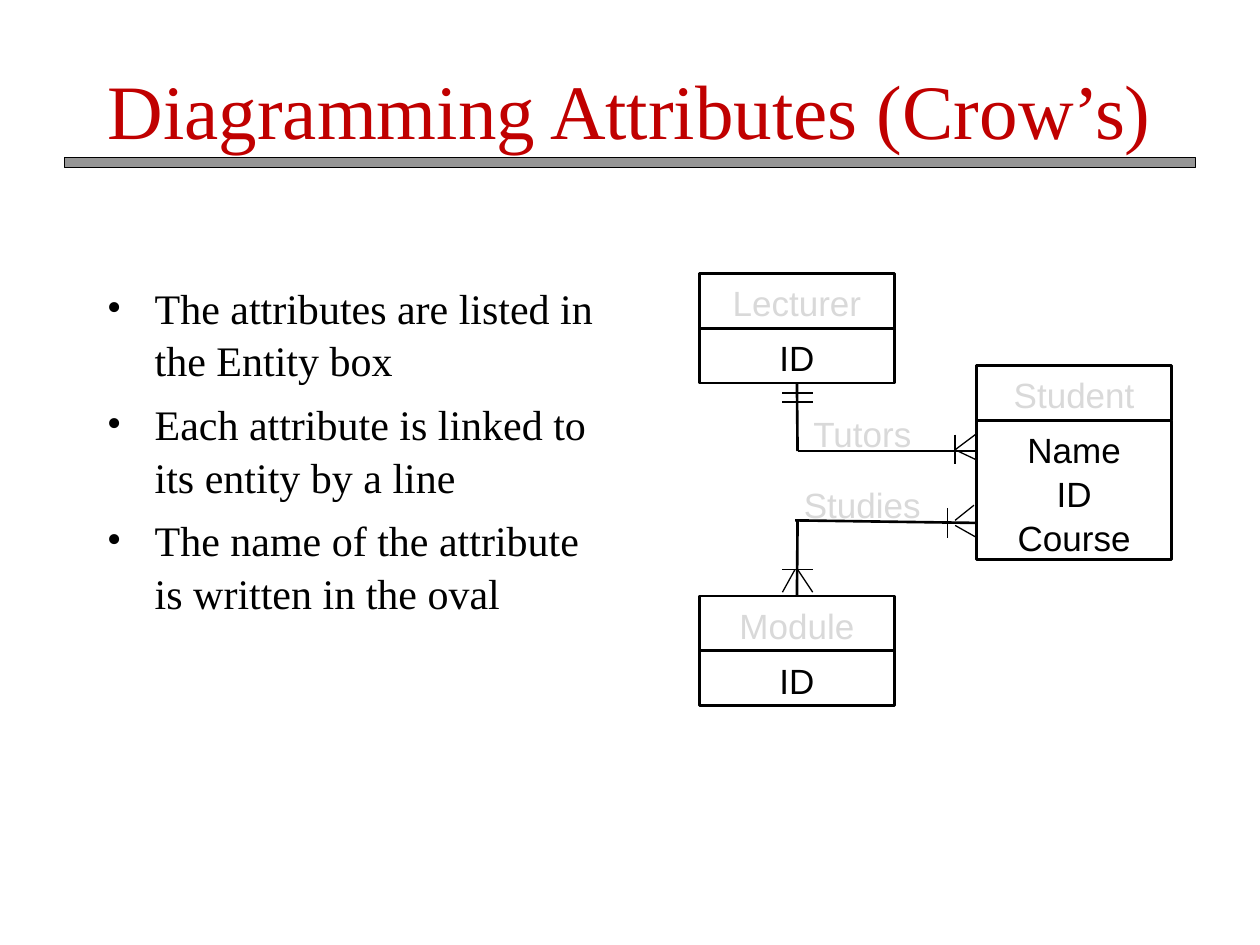
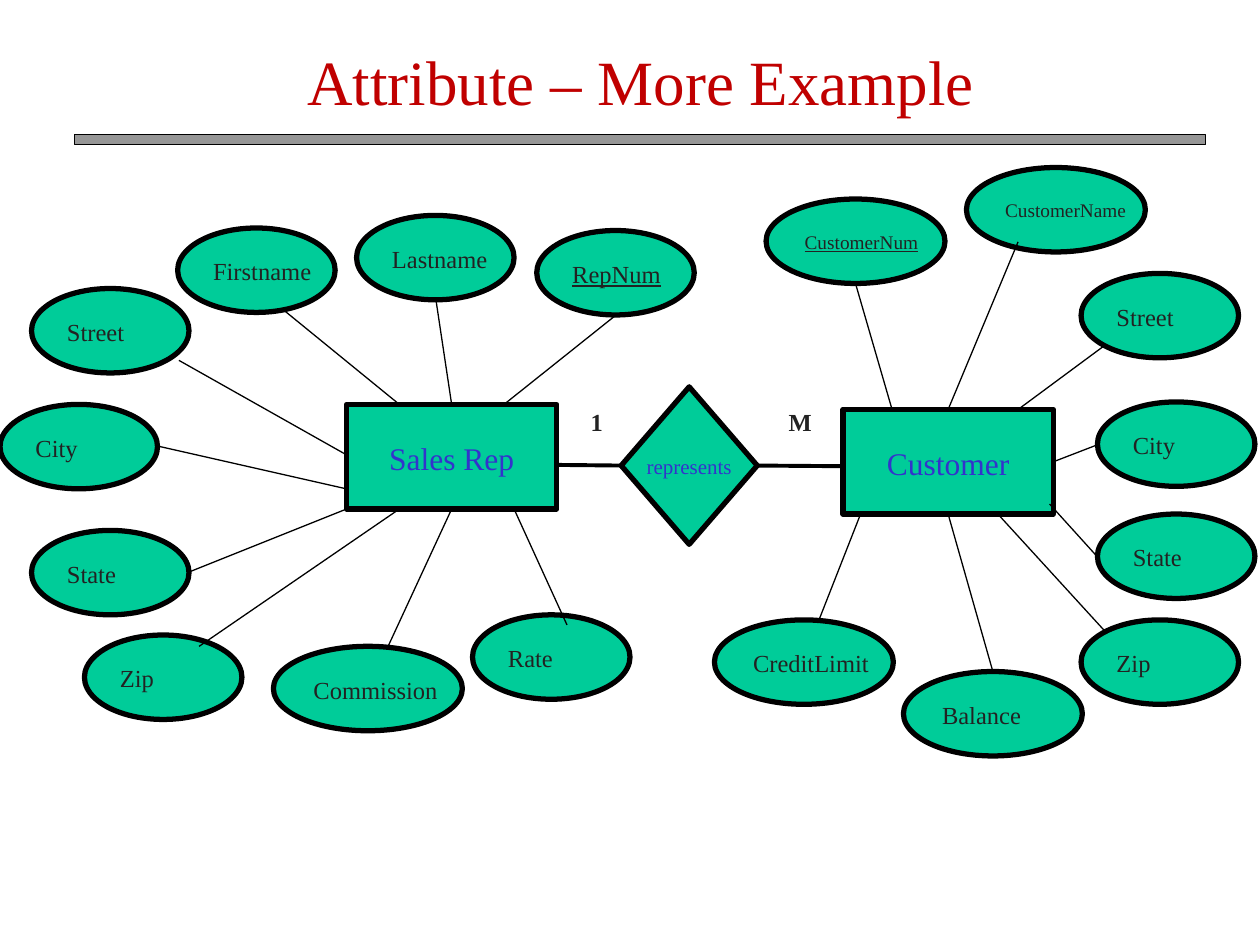
from lxml import etree
from pptx import Presentation, util as u
from pptx.dml.color import RGBColor
from pptx.enum import shapes, text
from pptx.oxml import ns

Inches, Pt = u.Inches, u.Pt
SHAPE, ALIGN, ANCHOR = shapes.MSO_SHAPE, text.PP_ALIGN, text.MSO_ANCHOR

BLACK = RGBColor(0x00, 0x00, 0x00)
TITLE_RED = RGBColor(0xC0, 0x00, 0x00)
BAND_GRAY = RGBColor(0x96, 0x96, 0x96)
PALE_GRAY = RGBColor(0xD9, 0xD9, 0xD9)
GREEN = RGBColor(0x00, 0xCC, 0x99)
ENTITY_BLUE = RGBColor(0x33, 0x33, 0xCC)
DARK = RGBColor(0x22, 0x22, 0x22)
SERIF, SANS = "Times New Roman", "Arial"
LINE_SPACING = 1.05
TOP, LEFT, BOTTOM, RIGHT = range(4)  # connection sites

# Crow's foot diagram
ENTITY_WIDTH, ROW_HEIGHT, ROW_MARGIN = 1.55, 0.335, 0.1
CROW_MARKS = [
    # one and only one, at Lecturer
    ((6.21, 3.12), (6.45, 3.12)), ((6.21, 3.19), (6.45, 3.19)),
    # many, at Student from Tutors
    ((7.58, 3.45), (7.58, 3.68)), ((7.58, 3.57), (7.74, 3.45)),
    ((7.58, 3.57), (7.75, 3.65)),
    # many, at Student from Studies
    ((7.58, 4.17), (7.74, 4.26)), ((7.58, 4.13), (7.73, 4.01)),
    ((7.52, 4.03), (7.52, 4.27)),
    # many, at Module
    ((6.21, 4.52), (6.45, 4.52)), ((6.31, 4.52), (6.21, 4.7)),
    ((6.33, 4.52), (6.45, 4.7)),
]

# Attributes: label, oval (left, top, width), font size, key?,
# link start (a side of the entity or a point) and link end
SALES_REP_ATTRIBUTES = [
    ("RepNum", (4.26, 1.83, 1.25), 14, True, (4, 3.21), (4.89, 2.5)),
    ("Lastname", (2.83, 1.71, 1.25), 14, False, TOP, (3.46, 2.38)),
    ("Firstname", (1.41, 1.81, 1.25), 14, False, (3.17, 3.21), (2.25, 2.46)),
    ("Street", (0.25, 2.29, 1.25), 14, False, (2.75, 3.61), (1.42, 2.86)),
    ("City", (0, 3.21, 1.25), 14, False, (2.75, 3.88), (1.25, 3.54)),
    ("State", (0.25, 4.21, 1.25), 14, False, (2.75, 4.04), (1.5, 4.54)),
    ("Zip", (0.67, 5.04, 1.25), 14, False, (3.17, 4.04), (1.58, 5.13)),
    ("Commission", (2.17, 5.13, 1.5), 14, False, BOTTOM, (3.08, 5.13)),
    ("Rate", (3.75, 4.88, 1.25), 14, False, (4.08, 4.04), (4.5, 4.96)),
]
CUSTOMER_ATTRIBUTES = [
    ("CustomerNum", (6.08, 1.58, 1.42), 11, True, (7.08, 3.25), (6.79, 2.25)),
    ("CustomerName", (7.67, 1.33, 1.42), 11, False, TOP, (8.08, 1.92)),
    ("Street", (8.58, 2.17, 1.25), 14, False, (8.08, 3.25), (8.77, 2.74)),
    ("City", (8.71, 3.19, 1.25), 14, False, RIGHT, (8.71, 3.53)),
    ("State", (8.71, 4.08, 1.25), 14, False, (8.33, 4), (8.71, 4.42)),
    ("Zip", (8.58, 4.92, 1.25), 14, False, (7.92, 4.08), (8.77, 5.01)),
    ("Balance", (7.17, 5.33, 1.42), 14, False, BOTTOM, (7.88, 5.33)),
    ("CreditLimit", (5.67, 4.92, 1.42), 14, False, (6.83, 4.08), (6.5, 4.92)),
]


def add_bullet(paragraph):
    properties = paragraph._p.get_or_add_pPr()
    properties.set("marL", str(Inches(0.38)))
    properties.set("indent", str(-Inches(0.38)))
    etree.SubElement(properties, ns.qn("a:buFont")).set("typeface", SERIF)
    etree.SubElement(properties, ns.qn("a:buChar")).set("char", "•")


def write(shape, lines, size, color, face=SERIF, align=ALIGN.CENTER,
          anchor=ANCHOR.MIDDLE, wrap=False, bold=False, underline=False,
          bullets=False, gap=0):
    frame = shape.text_frame
    frame.word_wrap = wrap
    frame.vertical_anchor = anchor
    frame.text = "\n".join(lines)
    for index, paragraph in enumerate(frame.paragraphs):
        paragraph.alignment = align
        paragraph.line_spacing = LINE_SPACING
        paragraph.space_before = Pt(gap if index else 0)
        if bullets:
            add_bullet(paragraph)
        font = paragraph.font
        font.name, font.size, font.bold = face, Pt(size), bold
        font.underline = underline
        font.color.rgb = color


def add_text(slide, box, lines, size, color, **style):
    write(slide.shapes.add_textbox(*map(Inches, box)), lines, size, color, **style)


def add_figure(slide, kind, box, fill=None, line=None):
    figure = slide.shapes.add_shape(kind, *map(Inches, box))
    figure.shadow.inherit = False
    if fill is None:
        figure.fill.background()
    else:
        figure.fill.solid()
        figure.fill.fore_color.rgb = fill
    if line is None:
        figure.line.fill.background()
    else:
        figure.line.color.rgb = BLACK
        figure.line.width = Pt(line)
    return figure


def add_link(slide, start, end, width=0.75):
    """Draw a line; each end is a point or a (shape, side) pair."""
    link = slide.shapes.add_connector(shapes.MSO_CONNECTOR.STRAIGHT, 0, 0, 0, 0)
    if isinstance(start[0], (int, float)):
        link.begin_x, link.begin_y = map(Inches, start)
    else:
        link.begin_connect(*start)
    if isinstance(end[0], (int, float)):
        link.end_x, link.end_y = map(Inches, end)
    else:
        link.end_connect(*end)
    link.line.color.rgb = BLACK
    link.line.width = Pt(width)
    etree.SubElement(link._element.spPr, ns.qn("a:effectLst"))


def add_title(slide, title, box, size, band_left, band_top):
    add_text(slide, box, [title], size, TITLE_RED, wrap=True)
    add_figure(slide, SHAPE.RECTANGLE, (band_left, band_top, 8.98, 0.08),
               BAND_GRAY, 0.75)


def add_listed_entity(slide, name, attributes, left, top):
    """Stack a name box on an attribute box; return both."""
    boxes = []
    for lines, color in (([name], PALE_GRAY), (attributes, BLACK)):
        height = ROW_MARGIN + ROW_HEIGHT * len(lines)
        box = add_figure(slide, SHAPE.RECTANGLE,
                         (left, top, ENTITY_WIDTH, height), line=1.5)
        write(box, lines, 20, color, SANS, anchor=ANCHOR.TOP, wrap=True)
        boxes.append(box)
        top += height
    return boxes


def add_entity(slide, name, left, top):
    entity = add_figure(slide, SHAPE.RECTANGLE, (left, top, 1.67, 0.83), GREEN, 3)
    write(entity, [name], 18, ENTITY_BLUE)
    return entity


def add_attributes(slide, entity, attributes):
    for label, (left, top, width), size, is_key, _, _ in attributes:
        oval = add_figure(slide, SHAPE.OVAL, (left, top, width, 0.67), GREEN, 3)
        write(oval, [label], size, DARK, align=ALIGN.LEFT, underline=is_key)
    for *_, start, end in attributes:
        add_link(slide, (entity, start) if isinstance(start, int) else start, end)


def build_crows_foot(slide):
    add_title(slide, "Diagramming Attributes (Crow’s)", (0, 0.22, 10, 1.25), 44,
              0.51, 1.25)
    add_text(slide, (0.75, 2.17, 4.17, 4.5),
             ["The attributes are listed in the Entity box",
              "Each attribute is linked to its entity by a line",
              "The name of the attribute is written in the oval"],
             24, BLACK, align=ALIGN.LEFT, anchor=ANCHOR.TOP, wrap=True,
             bullets=True, gap=6)

    # Entities
    _, lecturer_list = add_listed_entity(slide, "Lecturer", ["ID"], 5.55, 2.17)
    add_listed_entity(slide, "Student", ["Name", "ID", "Course"], 7.75, 2.9)
    module_name, _ = add_listed_entity(slide, "Module", ["ID"], 5.55, 4.73)

    # Relationships
    add_link(slide, (6.33, 3.58), (7.74, 3.58), 1.5)
    add_link(slide, (lecturer_list, BOTTOM), (6.33, 3.58), 1.5)
    add_link(slide, (6.33, 4.13), (module_name, TOP), 1.5)
    add_link(slide, (6.31, 4.13), (7.74, 4.15), 1.5)
    for name, top in (("Studies", 3.58), ("Tutors", 3.02)):
        label = add_figure(slide, SHAPE.DIAMOND, (6.18, top, 1.33, 0.83))
        write(label, [name], 20, PALE_GRAY, SANS)
    for start, end in CROW_MARKS:
        add_link(slide, start, end)


def build_attribute_example(slide):
    add_title(slide, "Attribute – More Example", (0.67, 0, 8.83, 1.25), 36,
              0.59, 1.07)

    # Entities with their attributes
    sales_rep = add_entity(slide, "Sales Rep", 2.75, 3.21)
    add_attributes(slide, sales_rep, SALES_REP_ATTRIBUTES)
    customer = add_entity(slide, "Customer", 6.69, 3.25)
    add_attributes(slide, customer, CUSTOMER_ATTRIBUTES)

    # Relationship and its cardinalities
    represents = add_figure(slide, SHAPE.DIAMOND, (4.93, 3.07, 1.08, 1.25), GREEN, 3)
    write(represents, ["represents"], 12, ENTITY_BLUE)
    add_link(slide, (4.42, 3.69), (represents, LEFT), 2.25)
    add_link(slide, (represents, RIGHT), (6.69, 3.7), 2.25)
    for cardinality, left, width in (("1", 4.59, 0.3), ("M", 6.16, 0.38)):
        add_text(slide, (left, 3.17, width, 0.34), [cardinality], 14, DARK,
                 align=ALIGN.LEFT, anchor=ANCHOR.TOP, bold=True)


def main():
    deck = Presentation()
    deck.slide_width, deck.slide_height = Inches(10), Inches(7.5)
    blank = deck.slide_layouts[6]
    for build in (build_crows_foot, build_attribute_example):
        build(deck.slides.add_slide(blank))
    deck.save("out.pptx")


if __name__ == "__main__":
    main()
